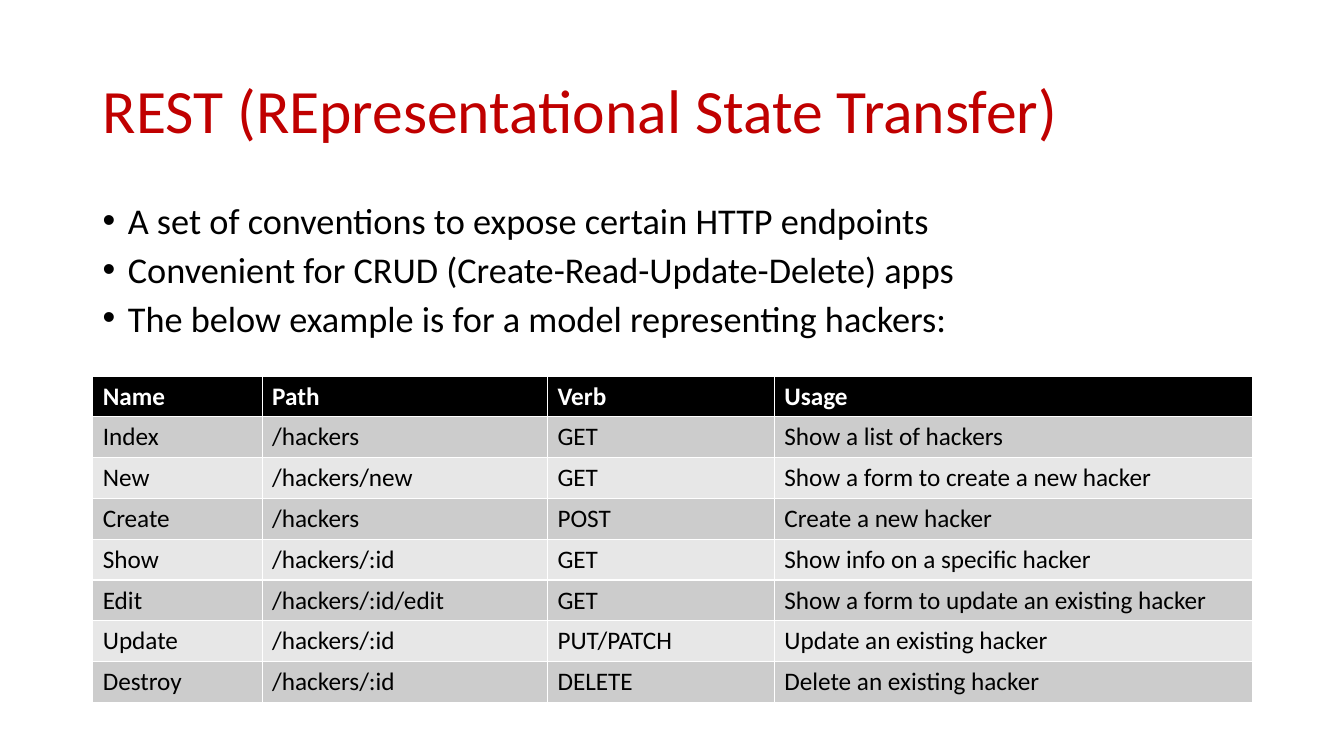
"""Build a slide that lists the REST conventions for a model of hackers."""
from pptx import Presentation
from pptx.dml.color import RGBColor
from pptx.enum import text
from pptx.oxml import parse_xml
from pptx.oxml.ns import nsdecls
from pptx.util import Inches, Pt

FONT = "Calibri"
RED = RGBColor(0xC0, 0x00, 0x00)
BLACK = RGBColor(0x00, 0x00, 0x00)
WHITE = RGBColor(0xFF, 0xFF, 0xFF)
DARK_BAND = RGBColor(0xCC, 0xCC, 0xCC)
LIGHT_BAND = RGBColor(0xE7, 0xE7, 0xE7)

LEFT, WIDTH = 0.92, 11.5
COLUMN_WIDTHS = [1.68, 2.83, 2.25, 4.74]
TITLE = "REST (REpresentational State Transfer)"
POINTS = [
    "A set of conventions to expose certain HTTP endpoints",
    "Convenient for CRUD (Create-Read-Update-Delete) apps",
    "The below example is for a model representing hackers:",
]
ROUTES = [
    ("Name", "Path", "Verb", "Usage"),
    ("Index", "/hackers", "GET", "Show a list of hackers"),
    ("New", "/hackers/new", "GET", "Show a form to create a new hacker"),
    ("Create", "/hackers", "POST", "Create a new hacker"),
    ("Show", "/hackers/:id", "GET", "Show info on a specific hacker"),
    ("Edit", "/hackers/:id/edit", "GET", "Show a form to update an existing hacker"),
    ("Update", "/hackers/:id", "PUT/PATCH", "Update an existing hacker"),
    ("Destroy", "/hackers/:id", "DELETE", "Delete an existing hacker"),
]


def set_font(paragraph, size, color, bold=False):
    """Set the font of a whole paragraph."""
    font = paragraph.font
    font.name, font.size, font.bold = FONT, Pt(size), bold
    font.color.rgb = color


def add_text_frame(slide, left, top, width, height):
    """Add a wrapping text box and return its text frame."""
    box = slide.shapes.add_textbox(Inches(left), Inches(top), Inches(width), Inches(height))
    box.text_frame.word_wrap = True
    return box.text_frame


def add_title(slide, left, top, width, height):
    """Place the title, centred vertically in its box."""
    frame = add_text_frame(slide, left, top, width, height)
    frame.vertical_anchor = text.MSO_ANCHOR.MIDDLE
    paragraph = frame.paragraphs[0]
    paragraph.text = TITLE
    paragraph.line_spacing = 0.9
    set_font(paragraph, 44, RED)


def add_points(slide, left, top, width, height):
    """Place the bulleted points."""
    frame = add_text_frame(slide, left, top, width, height)
    frame.text = "\n".join(POINTS)
    for paragraph in frame.paragraphs:
        paragraph.line_spacing = 0.8
        paragraph.space_before = Pt(10)
        set_font(paragraph, 25.9, BLACK)
        properties = paragraph._p.get_or_add_pPr()
        properties.set("marL", str(Inches(0.25)))
        properties.set("indent", str(Inches(-0.25)))
        for bullet in ('<a:buFont {} typeface="Arial"/>', '<a:buChar {} char="•"/>'):
            element = parse_xml(bullet.format(nsdecls("a")))
            properties.insert_element_before(element, "a:tabLst", "a:defRPr", "a:extLst")


def add_routes(slide, left, top, width, height):
    """Place the table of routes with a black header and grey bands."""
    table = slide.shapes.add_table(
        len(ROUTES), len(COLUMN_WIDTHS),
        Inches(left), Inches(top), Inches(width), Inches(height),
    ).table
    for column, column_width in zip(table.columns, COLUMN_WIDTHS):
        column.width = Inches(column_width)
    for row_index, route in enumerate(ROUTES):
        header = row_index == 0
        band = DARK_BAND if row_index % 2 else LIGHT_BAND
        for cell, value in zip(table.rows[row_index].cells, route):
            cell.text = value
            cell.fill.solid()
            cell.fill.fore_color.rgb = BLACK if header else band
            set_font(cell.text_frame.paragraphs[0], 18, WHITE if header else BLACK, header)


def main():
    """Create the presentation and save it."""
    presentation = Presentation()
    presentation.slide_width = Inches(13.33)
    presentation.slide_height = Inches(7.5)
    slide = presentation.slides.add_slide(presentation.slide_layouts[6])
    add_title(slide, LEFT, 0.4, WIDTH, 1.45)
    add_points(slide, LEFT, 2, WIDTH, 1.43)
    add_routes(slide, LEFT, 3.73, WIDTH, 3.24)
    presentation.save("out.pptx")


if __name__ == "__main__":
    main()
